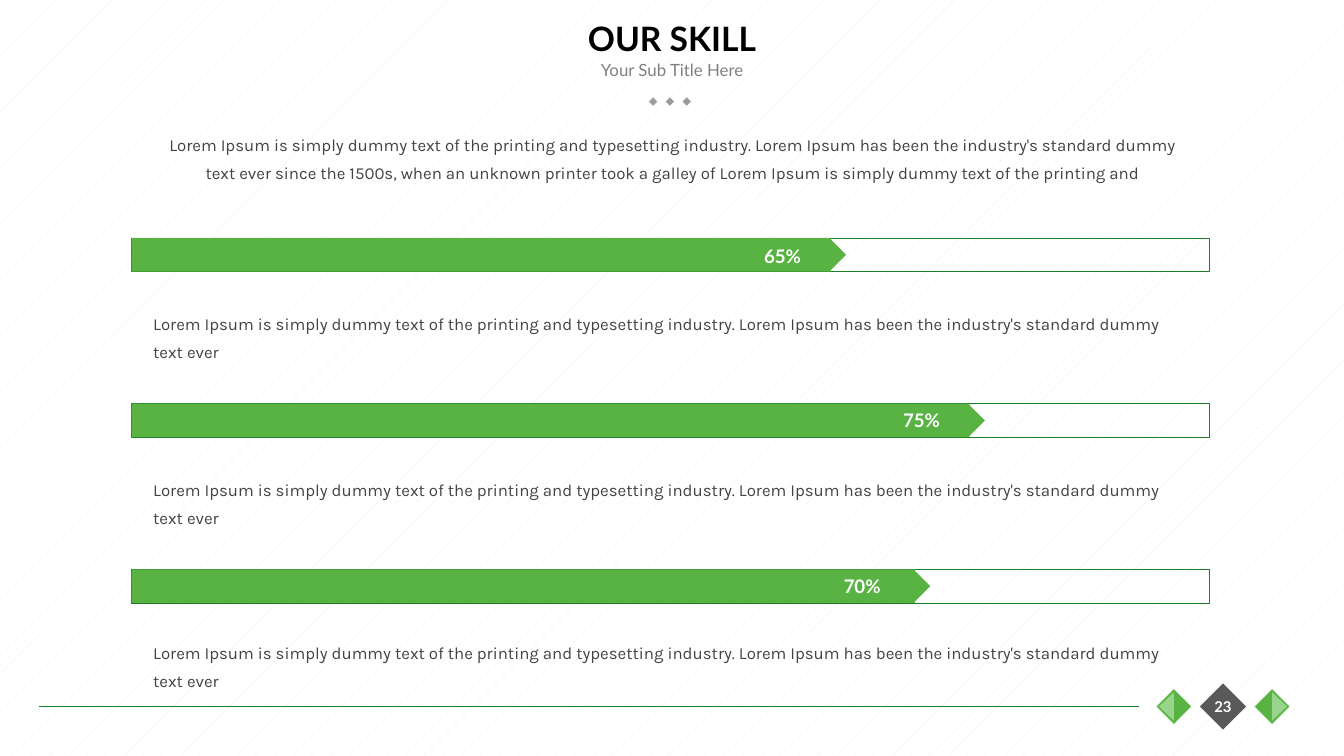
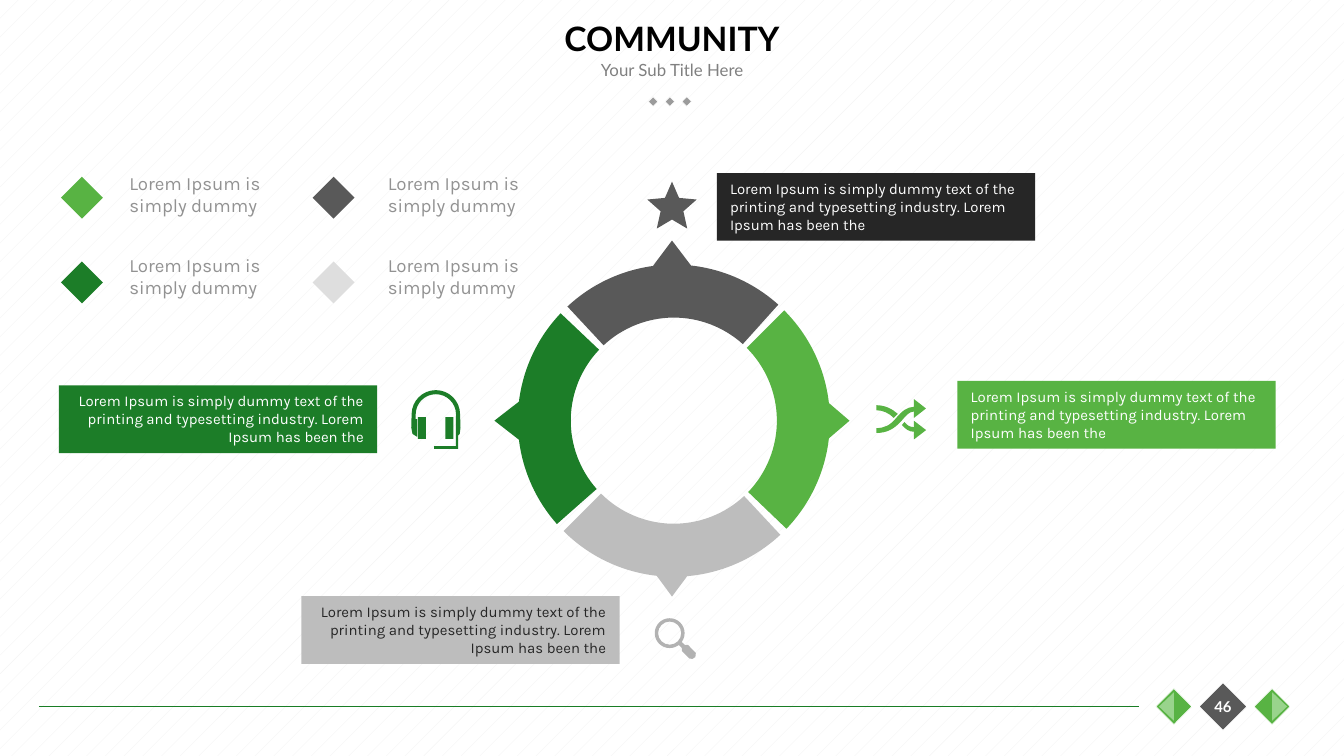
from math import cos, radians, sin, tan

from lxml import etree
from pptx import Presentation
from pptx.dml.color import RGBColor
from pptx.enum.dml import MSO_PATTERN
from pptx.enum.shapes import MSO_CONNECTOR, MSO_SHAPE
from pptx.enum.text import MSO_ANCHOR, MSO_AUTO_SIZE, PP_ALIGN
from pptx.oxml.ns import qn
from pptx.util import Pt

COLOURS = {
    "white": "FFFFFF", "black": "000000", "stripe": "F2F2F2",
    "green": "58B343", "dark_green": "1C7D28", "pale_green": "99D48C",
    "rule": "197D25", "charcoal": "595959", "near_black": "262626",
    "silver": "BDBDBD", "pale_grey": "DEDEDE", "lens": "B2B2B2",
    "dot": "9B9B9B", "subtitle": "808080", "body": "434343", "legend": "929292",
}
LOREM = "Lorem Ipsum is simply dummy text of the printing and typesetting industry."
SKILL_NOTE = LOREM + " Lorem Ipsum has been the industry's standard dummy text ever"
SKILL_INTRO = SKILL_NOTE + (
    " since the 1500s, when an unknown printer took a galley of"
    " Lorem Ipsum is simply dummy text of the printing and")
CALLOUT_TEXT = LOREM + " Lorem Ipsum has been the"
FOOTER_Y = 378.5
LEFT, CENTER, RIGHT = PP_ALIGN.LEFT, PP_ALIGN.CENTER, PP_ALIGN.RIGHT


def colour(name):
    return RGBColor.from_string(COLOURS[name])


def write_text(frame, text, *, font="Karla", size=9, ink="body", bold=False,
               align=LEFT, anchor=MSO_ANCHOR.TOP, spacing=None):
    """Fill a text frame with one formatted paragraph."""
    frame.word_wrap = True
    frame.auto_size = MSO_AUTO_SIZE.NONE
    frame.vertical_anchor = anchor
    para = frame.paragraphs[0]
    para.alignment = align
    if spacing:
        para.line_spacing = Pt(spacing)
    span = para.add_run()
    span.text = text
    span.font.name = font
    span.font.size = Pt(size)
    span.font.bold = bold
    span.font.color.rgb = colour(ink)


def polar(center, radius, degrees):
    """Point on a circle; degrees run clockwise from the right."""
    angle = radians(degrees)
    return center[0] + radius * cos(angle), center[1] + radius * sin(angle)


def arc(center, radius, start, end, pieces=1):
    """A first point, then curves given as (control, control, end point)."""
    sweep = (end - start) / pieces
    reach = 4 / 3 * tan(radians(sweep) / 4) * radius
    steps = [polar(center, radius, start)]
    for i in range(pieces):
        first, last = start + sweep * i, start + sweep * (i + 1)
        point = polar(center, radius, last)
        steps.append((polar(polar(center, radius, first), reach, first + 90),
                      polar(point, -reach, last + 90), point))
    return steps


def rectangle(left, top, width, height):
    return [(left, top), (left + width, top),
            (left + width, top + height), (left, top + height)]


class DeckBuilder:
    """Holds the shared style and the current slide."""

    def __init__(self):
        self.deck = Presentation()
        self.deck.slide_width, self.deck.slide_height = Pt(720), Pt(405)
        self.page = None
        fill = self.deck.slide_master.background.fill
        fill.patterned()
        fill.pattern = MSO_PATTERN.PERCENT_5
        fill.fore_color.rgb = colour("stripe")
        fill.back_color.rgb = colour("white")

    def start_page(self, title, number):
        self.page = self.deck.slides.add_slide(self.deck.slide_layouts[5])
        # Heading
        for i in range(3):
            self.diamond(349.9 + 9 * i, 54.4, 3.6, "dot", "white")
        self.text("Your Sub Title Here", 270, 28.4, 180, 18, font="Lato",
                  ink="subtitle", align=CENTER, anchor=MSO_ANCHOR.MIDDLE)
        heading = self.page.shapes.title
        heading.left, heading.top = Pt(54), Pt(0)
        heading.width, heading.height = Pt(612), Pt(40.5)
        write_text(heading.text_frame, title, font="Lato", size=18, ink="black",
                   bold=True, align=CENTER, anchor=MSO_ANCHOR.MIDDLE)
        # Footer
        self.line(20.8, FOOTER_Y, 610.3, FOOTER_Y, "rule", 0.75)
        self.diamond(655.2, FOOTER_Y, 18, "charcoal", "white")
        for side, rotation in ((-1, 270), (1, 90)):
            self.diamond(655.2 + side * 26.3, FOOTER_Y, 13.6, "green", "white")
            self.shape(MSO_SHAPE.FLOWCHART_EXTRACT, 655.2 + side * 30.3 - 7.6,
                       FOOTER_Y - 4, 15.2, 8, "pale_green", rotation=rotation)
        self.text(number, 640.2, FOOTER_Y - 9, 30, 18, font="Lato", size=8,
                  ink="white", bold=True, align=CENTER, anchor=MSO_ANCHOR.MIDDLE)

    def paint(self, shape, fill, line=None):
        shape.shadow.inherit = False
        if fill:
            shape.fill.solid()
            shape.fill.fore_color.rgb = colour(fill)
        else:
            shape.fill.background()
        if line:
            shape.line.color.rgb = colour(line)
            shape.line.width = Pt(0.25)
        else:
            shape.line.fill.background()

    def shape(self, kind, left, top, width, height, fill, line=None, rotation=0):
        shape = self.page.shapes.add_shape(
            kind, Pt(left), Pt(top), Pt(width), Pt(height))
        shape.rotation = rotation
        self.paint(shape, fill, line)
        return shape

    def diamond(self, center_x, center_y, size, fill, line=None):
        self.shape(MSO_SHAPE.RECTANGLE, center_x - size / 2, center_y - size / 2,
                   size, size, fill, line, rotation=315)

    def text(self, text, left, top, width, height, **style):
        box = self.page.shapes.add_textbox(Pt(left), Pt(top), Pt(width), Pt(height))
        write_text(box.text_frame, text, **style)

    def line(self, x1, y1, x2, y2, ink, width):
        line = self.page.shapes.add_connector(
            MSO_CONNECTOR.STRAIGHT, Pt(x1), Pt(y1), Pt(x2), Pt(y2))
        line.line.color.rgb = colour(ink)
        line.line.width = Pt(width)
        etree.SubElement(line._element.spPr, qn("a:effectLst"))

    def outline(self, contours, fill):
        """Draw closed contours made of points and curves."""
        builder = None
        for contour in contours:
            ends = [step[-1] if len(step) == 3 else step for step in contour]
            ends = [(Pt(x), Pt(y)) for x, y in ends]
            if builder is None:
                builder = self.page.shapes.build_freeform(*ends[0])
            else:
                builder.move_to(*ends[0])
            builder.add_line_segments(ends[1:], close=True)
        shape = builder.convert_to_shape()
        # Turn the straight segments of curved steps into Bezier curves
        segments = list(shape._element.iter(qn("a:lnTo")))
        steps = [step for contour in contours for step in contour[1:]]
        for segment, step in zip(segments, steps):
            if len(step) == 3:
                segment.tag = qn("a:cubicBezTo")
                for i, (x, y) in enumerate(step[:2]):
                    point = etree.Element(qn("a:pt"), x=str(Pt(x) - shape.left),
                                          y=str(Pt(y) - shape.top))
                    segment.insert(i, point)
        self.paint(shape, fill)

    def skill_bar(self, label, top, bar_width, label_left, label_top, note_top):
        left, height, tip = 70.5, 18, 12.8
        self.shape(MSO_SHAPE.RECTANGLE, left, top, 577.5, height, None, "dark_green")
        self.shape(MSO_SHAPE.RECTANGLE, left, top, bar_width, height, "green")
        self.shape(MSO_SHAPE.RIGHT_TRIANGLE, left + bar_width - 0.8 - tip / 2,
                   top + (height - tip) / 2, tip, tip, "green", rotation=225)
        self.text(label, label_left, label_top, 52, 19.4, font="Lato", size=10,
                  ink="white", bold=True, align=CENTER)
        self.text(SKILL_NOTE, 75, note_top, 570, 21, spacing=15)

    def ring_segment(self, start, end, direction, half_base, tip, fill):
        center, outer, inner = (361, 225.4), 83.6, 55.2
        points = (arc(center, outer, start, direction - half_base) + [tip]
                  + arc(center, outer, direction + half_base, end)
                  + arc(center, inner, end, start, 2))
        self.outline([points], fill)

    def callout(self, left, top, fill, ink, align):
        box = self.shape(MSO_SHAPE.RECTANGLE, left, top, 170.5, 36.3, fill)
        write_text(box.text_frame, CALLOUT_TEXT, size=8, ink=ink, align=align)

    def headset(self):
        center = (233.5, 222)
        band = (arc(center, 13, 180, 360, 2)
                + [(246.7, 229), (246.3, 232.5), (245.5, 233.3), (245.5, 240.5),
                   (232.6, 240.5), (232.6, 239), (244.2, 239)]
                + arc(center, 10.8, 360, 180, 2)
                + [(222.7, 224.5), (223.4, 224.6), (223.4, 234),
                   (221, 232.5), (220.3, 229)])
        pads = [rectangle(x, 223.5, 4.3, 11.6) for x in (223.9, 238.6)]
        self.outline([pads[0], band, pads[1]], "dark_green")

    def shuffle(self):
        falling_start = [
            (469.5, 217.1), ((474, 217.1), (478, 219), (481, 221.8)),
            (478.8, 223.9), ((476.5, 221.5), (473, 219.8), (469.5, 219.8))]
        rising = [
            (489.6, 220.5), ((487, 220.5), (485, 223.2), (483.1, 225.4)),
            ((479, 230), (475, 232), (469.5, 232)), (469.5, 229.4),
            ((474, 229.4), (477, 227.8), (480.2, 223.9)),
            ((483, 220.5), (486, 218), (489.6, 218)),
            (489.6, 213.8), (496.1, 218.9), (489.6, 224)]
        falling_end = [
            (489.6, 228.8), ((487.5, 228.8), (486, 228), (484.6, 226.1)),
            (483.1, 227.7), ((485, 229.8), (487, 231.3), (489.6, 231.3)),
            (489.6, 235.4), (496.1, 230.4), (489.6, 225.4)]
        for piece in (falling_start, rising, falling_end):
            self.outline([piece], "green")

    def star(self):
        points = [polar((360, 111.2), (13.9, 6.4)[i % 2], 36 * i - 90)
                  for i in range(10)]
        self.outline([points], "charcoal")

    def magnifier(self):
        center = (358.8, 339.2)
        handle = [(363.7, 345.5), (365.2, 343.9), (367, 345.6), (368.6, 345.5),
                  (372.8, 349.8), (372.6, 352), (371, 353), (369.4, 352.8),
                  (365.4, 348.8), (365.4, 347.2)]
        self.outline([handle, arc(center, 8, 0, 360, 4),
                      arc(center, 6.2, 360, 0, 4)], "lens")


def build_skills(builder):
    builder.start_page("OUR SKILL", "23")
    builder.text(SKILL_INTRO, 75, 64.5, 570, 37.5, align=CENTER, spacing=15)
    skills = (("65%", 374.5, 393.2, 127.7, 160.5),
              ("75%", 448.9, 467.7, 215.6, 249.5),
              ("70%", 419.6, 435.9, 304.4, 336.5))
    for row, (label, bar_width, *places) in enumerate(skills):
        builder.skill_bar(label, 127.5 + 88.75 * row, bar_width, *places)


def build_community(builder):
    builder.start_page("COMMUNITY", "46")
    # Ring
    for segment in ((138.5, 223.5, 180, 7, (264.9, 225.4), "dark_green"),
                    (47, 135, 90.7, 5.6, (360, 319.6), "silver"),
                    (227, 312, 269.3, 7, (360, 128.9), "charcoal"),
                    (-45, 43.8, 0, 6.5, (455.1, 225.4), "green")):
        builder.ring_segment(*segment)
    # Icons
    builder.headset()
    builder.shuffle()
    builder.star()
    builder.magnifier()
    # Callouts
    for callout in ((384, 92.7, "near_black", "white", LEFT),
                    (512.9, 204, "green", "white", LEFT),
                    (161.4, 319.4, "silver", "near_black", RIGHT),
                    (31.6, 206.5, "dark_green", "white", RIGHT)):
        builder.callout(*callout)
    # Legend
    legend = (("green", "charcoal"), ("dark_green", "pale_grey"))
    for row, fills in enumerate(legend):
        for column, fill in enumerate(fills):
            builder.diamond(43.9 + 134.8 * column, 105.9 + 45.4 * row, 15.9, fill)
            builder.text("Lorem Ipsum is simply dummy", 62.2 + 138.5 * column,
                         88.4 + 43.8 * row, 92, 31.7, size=10, ink="legend")


def main():
    builder = DeckBuilder()
    build_skills(builder)
    build_community(builder)
    builder.deck.save("out.pptx")


if __name__ == "__main__":
    main()
